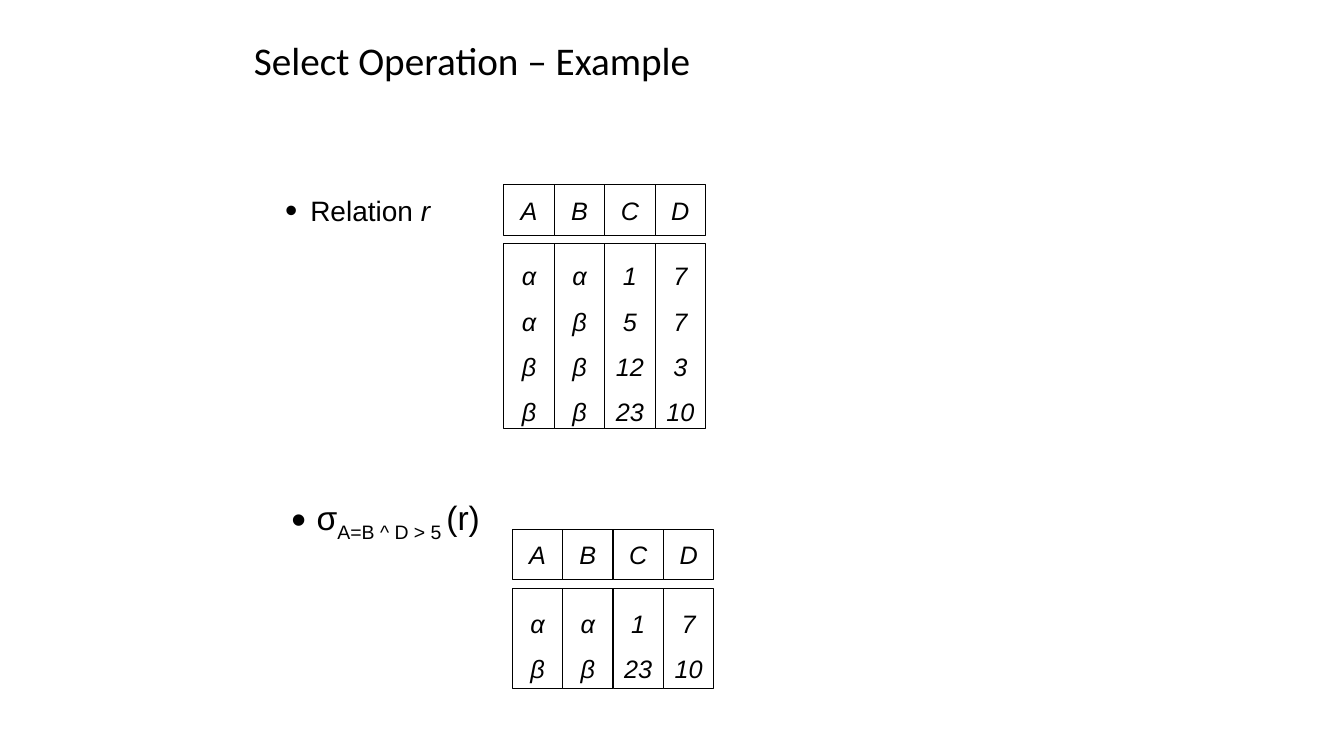
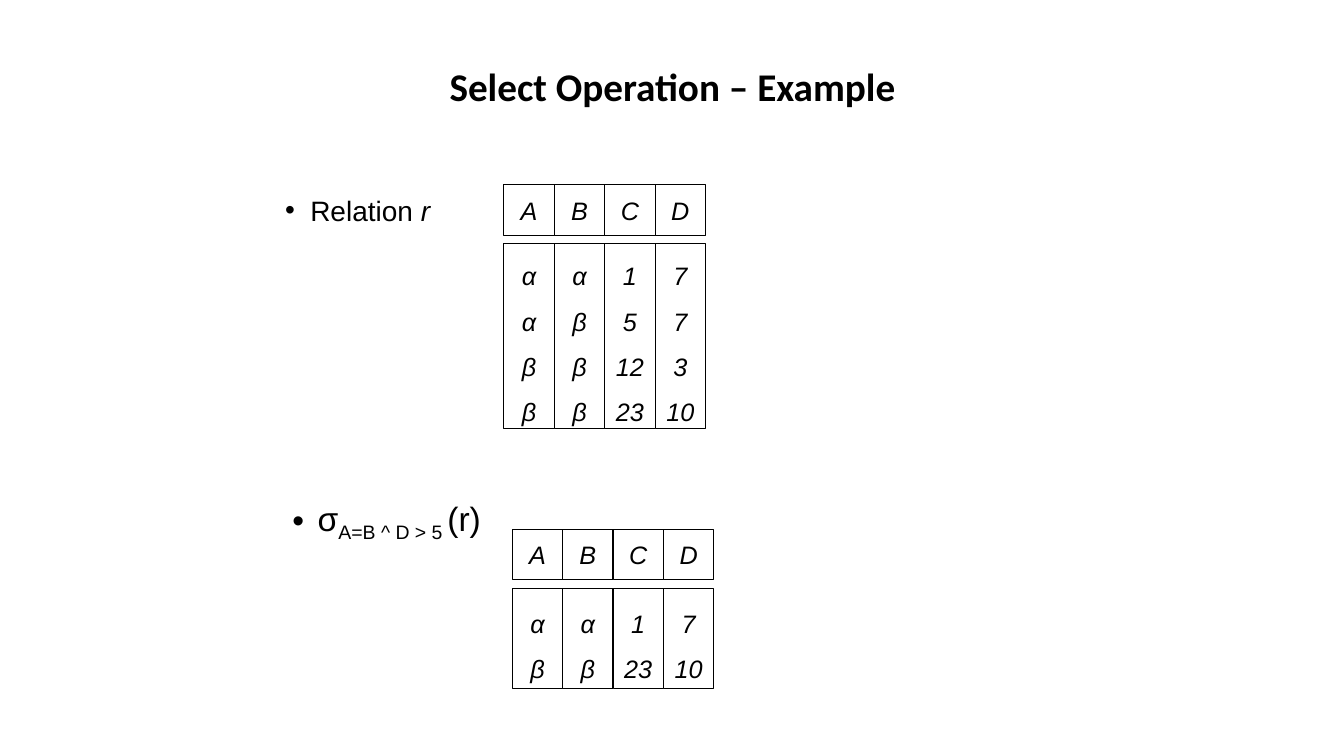
from lxml.etree import SubElement
from pptx import Presentation
from pptx.dml.color import RGBColor as Rgb
from pptx.enum.shapes import MSO_SHAPE as Shape
from pptx.enum.text import MSO_ANCHOR as Anchor, MSO_AUTO_SIZE as AutoSize, PP_ALIGN as Align
from pptx.oxml.ns import qn
from pptx.util import Cm, Pt

COLORS = {"ink": "000000", "paper": "FFFFFF"}
TITLE = "Select Operation – Example"
TITLE_FONT, BODY_FONT = "Calibri", "Arial"
CELL = 1.27
HEADER_GAP = 0.21
ROW_PITCH, BODY_PADDING = 1.06, 0.42
HANGING_INDENT = 0.635

ATTRIBUTES = "ABCD"
RELATION = [("α", "α", "1", "7"), ("α", "β", "5", "7"),
            ("β", "β", "12", "3"), ("β", "β", "23", "10")]
SELECTION = [row for row in RELATION if row[0] == row[1] and int(row[3]) > 5]

RELATION_NAME = [("Relation", 20, False, 0), (" r", 20, True, 0)]
SELECTION_NAME = [("σ", 24, False, 0), ("A=B ^ D > 5", 24, False, -25),
                  (" ", 20, False, -25), ("(r)", 24, False, 0)]


def color(name):
    """Return a palette colour."""
    return Rgb.from_string(COLORS[name])


def style(run, size, font=BODY_FONT, bold=False, italic=False):
    """Format one run of text."""
    run.font.name = font
    run.font.size = Pt(size)
    run.font.bold = bold
    run.font.italic = italic
    run.font.color.rgb = color("ink")


def add_box(slide, left, top, width, height, wrap):
    """Add a vertically centred text box and return its text frame."""
    frame = slide.shapes.add_textbox(Cm(left), Cm(top), Cm(width), Cm(height)).text_frame
    frame.word_wrap = wrap
    frame.vertical_anchor = Anchor.MIDDLE
    return frame


def add_title(slide, top, height, align, spacing, bold):
    """Add the slide title."""
    heading = add_box(slide, 6.15, top, 21.59, height, True).paragraphs[0]
    heading.text = TITLE
    heading.alignment = align
    heading.line_spacing = spacing
    style(heading.runs[0], 28, TITLE_FONT, bold)


def add_bullet(paragraph, percent):
    """Give a paragraph a hanging round bullet."""
    properties = paragraph._p.get_or_add_pPr()
    indent = Cm(HANGING_INDENT)
    properties.set("marL", str(indent))
    properties.set("indent", str(-indent))
    bullet_color = SubElement(properties, qn("a:buClr"))
    SubElement(bullet_color, qn("a:srgbClr"), val=COLORS["ink"])
    SubElement(properties, qn("a:buSzPct"), val=str(percent * 1000))
    SubElement(properties, qn("a:buFont"), typeface=BODY_FONT)
    SubElement(properties, qn("a:buChar"), char="•")


def add_caption(slide, bounds, parts, wrap, bullet_percent):
    """Add the bulleted name of a relation."""
    frame = add_box(slide, *bounds, wrap)
    frame.auto_size = AutoSize.SHAPE_TO_FIT_TEXT
    caption = frame.paragraphs[0]
    caption.alignment = Align.CENTER
    add_bullet(caption, bullet_percent)
    for text, size, italic, baseline in parts:
        run = caption.add_run()
        run.text = text
        style(run, size, italic=italic)
        if baseline:
            run._r.get_or_add_rPr().set("baseline", str(baseline * 1000))


def add_cell(slide, left, top, height, values, spacing):
    """Add an outlined cell with one centred line per value."""
    cell = slide.shapes.add_shape(Shape.RECTANGLE, Cm(left), Cm(top), Cm(CELL), Cm(height))
    cell.shadow.inherit = False
    cell.fill.solid()
    cell.fill.fore_color.rgb = color("paper")
    cell.line.color.rgb = color("ink")
    cell.line.width = Pt(0.75)
    frame = cell.text_frame
    frame.word_wrap = False
    frame.vertical_anchor = Anchor.MIDDLE
    frame.text = "\n".join(values)
    for line in frame.paragraphs:
        line.alignment = Align.CENTER
        line.line_spacing = spacing
        style(line.runs[0], 18, italic=True)


def add_relation(slide, left, top, rows):
    """Draw a relation as header cells above column cells."""
    columns = list(zip(*rows))
    body_top = top + CELL + HEADER_GAP
    body_height = len(rows) * ROW_PITCH + BODY_PADDING
    for index, attribute in enumerate(ATTRIBUTES):
        add_cell(slide, left + index * CELL, top, CELL, [attribute], 1.0)
    for index, values in enumerate(columns):
        add_cell(slide, left + index * CELL, body_top, body_height, values, 1.5)


def add_example(deck, title, relation_bounds, selection_bounds, wrap, bullet_percent):
    """Add a slide showing a relation and the selection from it."""
    slide = deck.slides.add_slide(deck.slide_layouts[6])
    add_title(slide, *title)
    add_caption(slide, relation_bounds, RELATION_NAME, wrap, bullet_percent)
    add_relation(slide, 12.7, 4.66, RELATION)
    add_caption(slide, selection_bounds, SELECTION_NAME, wrap, bullet_percent)
    add_relation(slide, 12.91, 13.34, SELECTION)


def main():
    """Build and save the deck."""
    deck = Presentation()
    deck.slide_width, deck.slide_height = Cm(33.87), Cm(19.05)
    add_example(deck, (0, 3.18, Align.LEFT, 0.9, False),
                (6.93, 4.75, 4.17, 1.09), (6.86, 12.47, 5.72, 1.27), False, 125)
    add_example(deck, (1.17, 2.01, Align.CENTER, 1.0, True),
                (6.93, 4.32, 4.17, 1.96), (6.91, 11.96, 5.67, 2.31), True, 100)
    deck.save("out.pptx")


if __name__ == "__main__":
    main()
